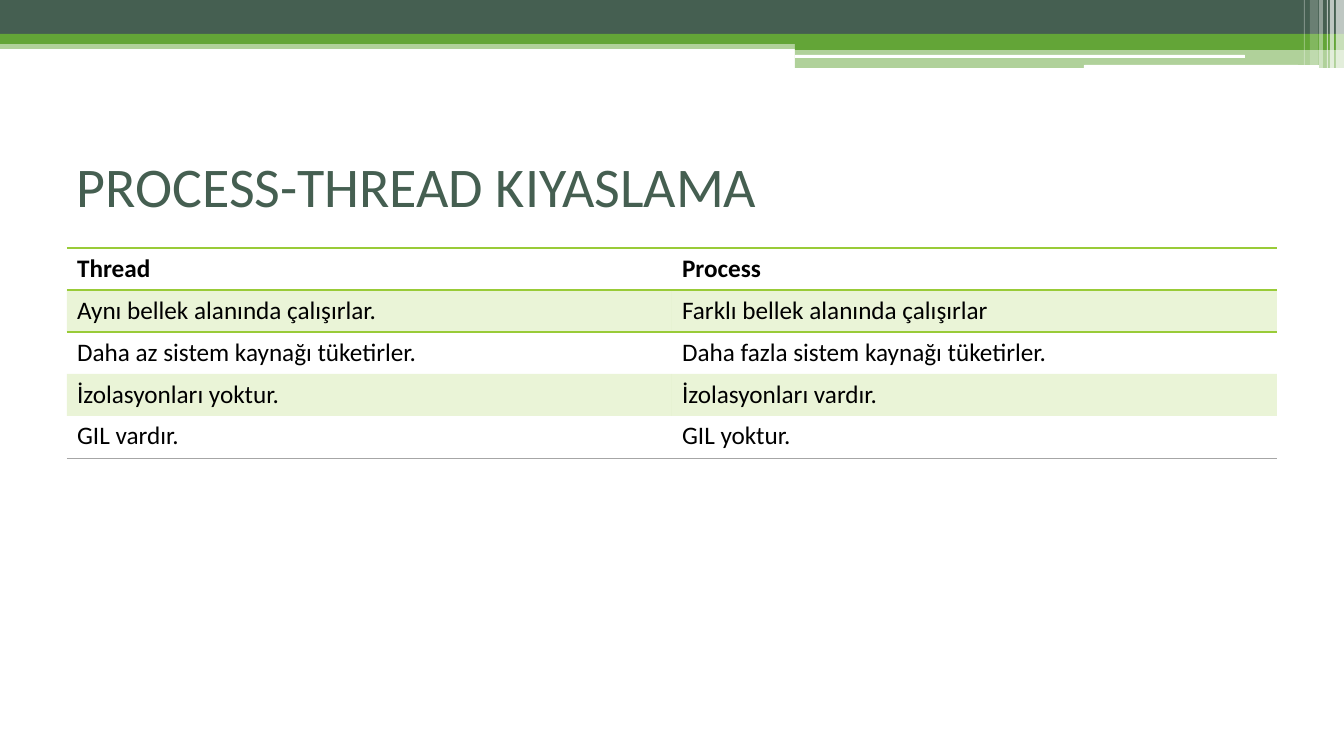
from lxml.etree import SubElement
from pptx import Presentation
from pptx.dml.color import RGBColor
from pptx.enum.shapes import MSO_SHAPE
from pptx.enum.text import MSO_ANCHOR
from pptx.oxml.ns import qn
from pptx.util import Pt

EMU_PER_PX = 914400 / 100.8
SLIDE_W, SLIDE_H = 1344, 756
FONT = "Calibri"
NO_STYLE_NO_GRID = "{2D5ABB26-0587-4C30-8999-92F81FD0307C}"

PINE = RGBColor(0x45, 0x5F, 0x51)
GREEN = RGBColor(0x63, 0xA5, 0x37)
LIME = RGBColor(0x99, 0xCB, 0x38)
GREY = RGBColor(0xA6, 0xA6, 0xA6)
BLACK = RGBColor(0x00, 0x00, 0x00)
WHITE = RGBColor(0xFF, 0xFF, 0xFF)

BANDS = [
    ((0, 40, 1344, 9), GREEN, 50),
    ((0, 0, 1344, 34), PINE, 100),
    ((0, 34, 1344, 10), GREEN, 100),
    ((795, 39, 549, 11), GREEN, 100),
    ((795, 50, 549, 18), GREEN, 50),
]
GAPS = [(795, 55, 450, 3), (1084, 65, 235, 4)]
STRIPES = [
    ((1336, 0, 8, 69), 65),
    ((1330, 0, 4, 69), 65),
    ((1327, 0, 1, 69), 60),
    ((1319, 0, 4, 69), 40),
    ((1310, 0, 8, 65), 20),
    ((1304, 0, 1, 65), 30),
]
TITLE = "PROCESS-THREAD KIYASLAMA"
COMPARISON = [
    ("Thread", "Process"),
    ("Aynı bellek alanında çalışırlar.", "Farklı bellek alanında çalışırlar"),
    ("Daha az sistem kaynağı tüketirler.", "Daha fazla sistem kaynağı tüketirler."),
    ("İzolasyonları yoktur.", "İzolasyonları vardır."),
    ("GIL vardır.", "GIL yoktur."),
]
BORDERS = {
    0: {"a:lnT": (LIME, 1), "a:lnB": (LIME, 1)},
    1: {"a:lnT": (LIME, 1)},
    len(COMPARISON) - 1: {"a:lnB": (GREY, 0.5)},
}


def px(*lengths):
    """Turn pixel lengths into EMU."""
    return [round(length * EMU_PER_PX) for length in lengths]


def paint(fill, color, opacity=100):
    """Give a fill a solid colour with an opacity in percent."""
    fill.solid()
    fill.fore_color.rgb = color
    if opacity < 100:
        color_node = fill._xPr.find(qn("a:solidFill"))[0]
        SubElement(color_node, qn("a:alpha"), val=str(opacity * 1000))


def write(frame, text, **font_values):
    """Put text in a frame and format its font."""
    run = frame.paragraphs[0].add_run()
    run.text = text
    run.font.name = FONT
    color = font_values.pop("color")
    for attribute, value in font_values.items():
        setattr(run.font, attribute, value)
    run.font.color.rgb = color


def add_bar(slide, box, color, opacity=100, outline=MSO_SHAPE.RECTANGLE):
    """Draw one borderless bar of the header decoration."""
    bar = slide.shapes.add_shape(outline, *px(*box))
    bar.shadow.inherit = False
    bar.line.fill.background()
    paint(bar.fill, color, opacity)


def add_title(slide):
    """Add the slide heading."""
    heading = slide.shapes.add_textbox(*px(67, 126, 1210, 118)).text_frame
    heading.word_wrap = True
    heading.vertical_anchor = MSO_ANCHOR.MIDDLE
    write(heading, TITLE, size=Pt(40), color=PINE)


def add_border(cell, side, color, width):
    """Draw a line along one side of a cell."""
    line = SubElement(cell._tc.get_or_add_tcPr(), qn(side), w=str(Pt(width)))
    solid = SubElement(line, qn("a:solidFill"))
    SubElement(solid, qn("a:srgbClr"), val=str(color))


def add_comparison(slide):
    """Add the table that compares threads and processes."""
    row_count, column_count = len(COMPARISON), len(COMPARISON[0])
    table = slide.shapes.add_table(
        row_count, column_count, *px(67, 248, 1210, 42 * row_count)
    ).table
    table._tbl.tblPr.find(qn("a:tableStyleId")).text = NO_STYLE_NO_GRID
    for row_index, row in enumerate(COMPARISON):
        for column_index, text in enumerate(row):
            cell = table.cell(row_index, column_index)
            for side, (color, width) in BORDERS.get(row_index, {}).items():
                add_border(cell, side, color, width)
            if row_index % 2:
                paint(cell.fill, LIME, 20)
            else:
                cell.fill.background()
            write(cell.text_frame, text, size=Pt(18), bold=row_index == 0, color=BLACK)


def main():
    """Build and save the slide."""
    deck = Presentation()
    deck.slide_width, deck.slide_height = px(SLIDE_W, SLIDE_H)
    slide = deck.slides.add_slide(deck.slide_layouts[6])
    paint(slide.background.fill, WHITE)
    for box, color, opacity in BANDS:
        add_bar(slide, box, color, opacity)
    for box in GAPS:
        add_bar(slide, box, WHITE, outline=MSO_SHAPE.ROUNDED_RECTANGLE)
    for box, opacity in STRIPES:
        add_bar(slide, box, WHITE, opacity)
    add_title(slide)
    add_comparison(slide)
    deck.save("out.pptx")


if __name__ == "__main__":
    main()
